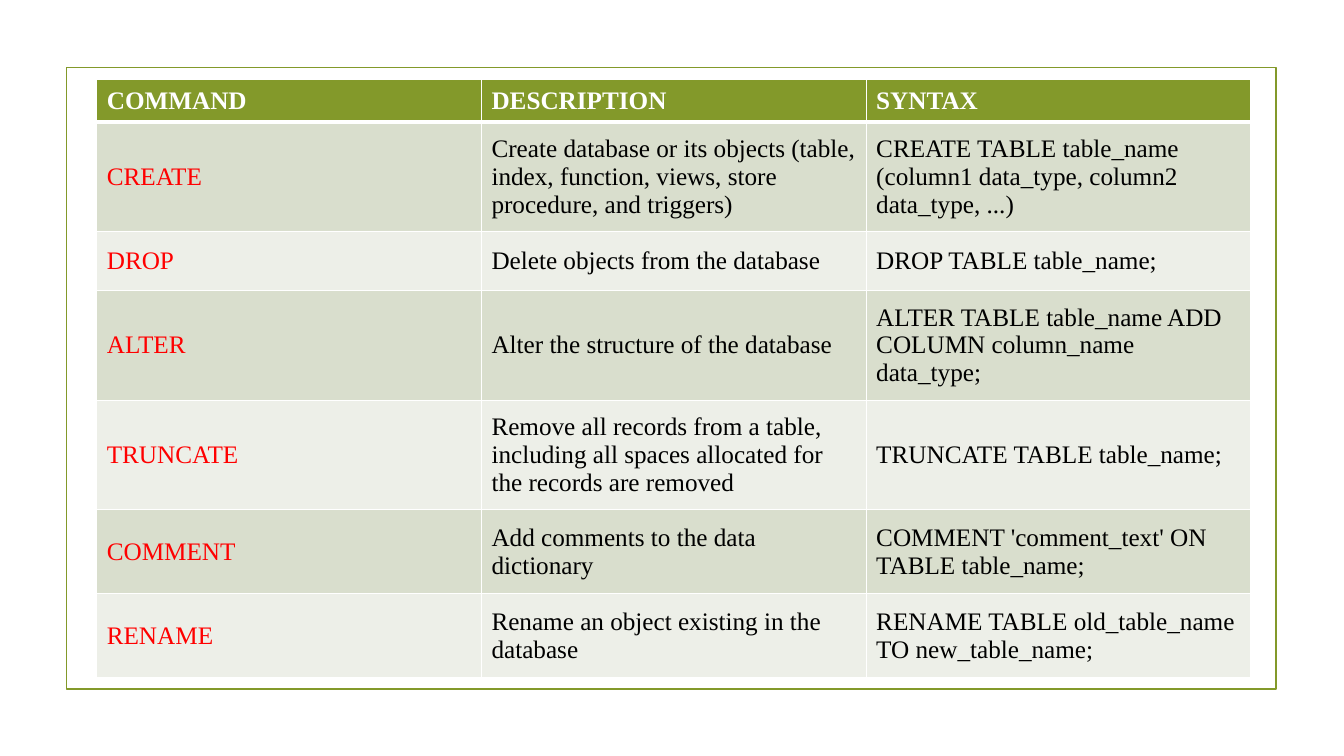
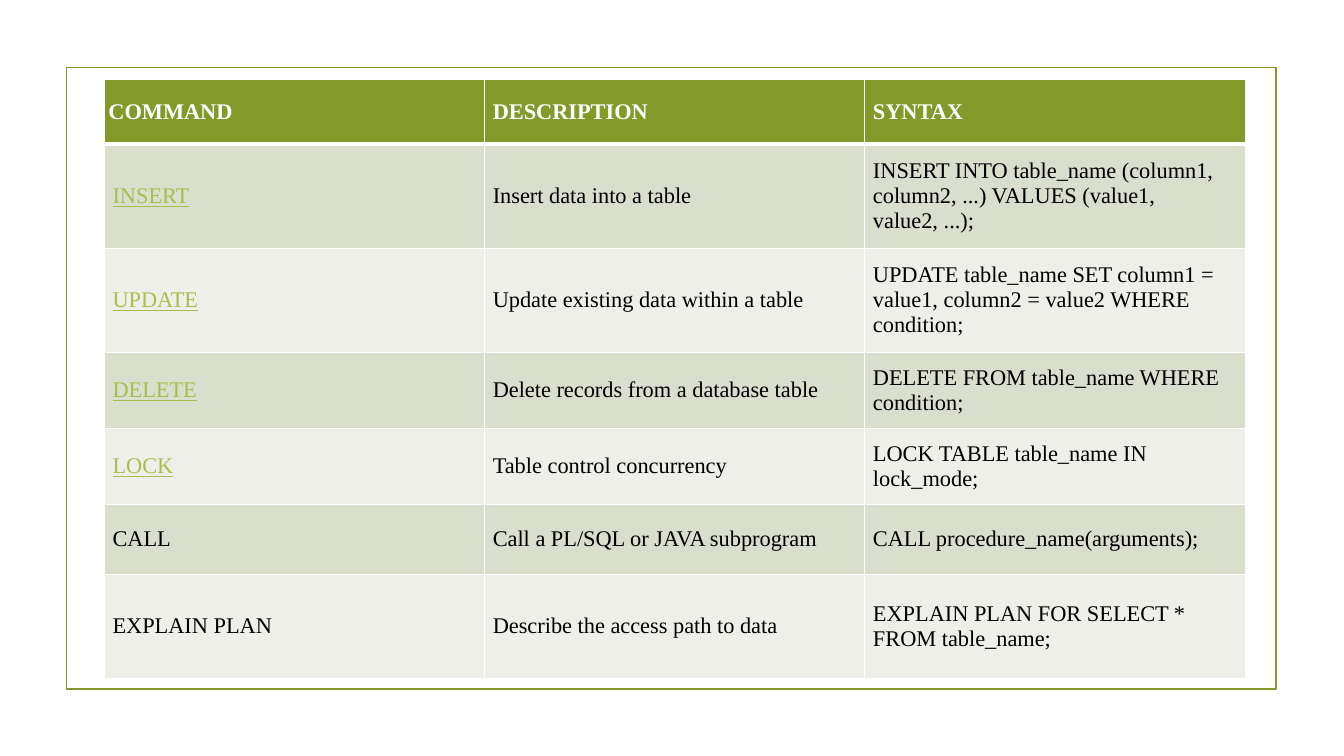
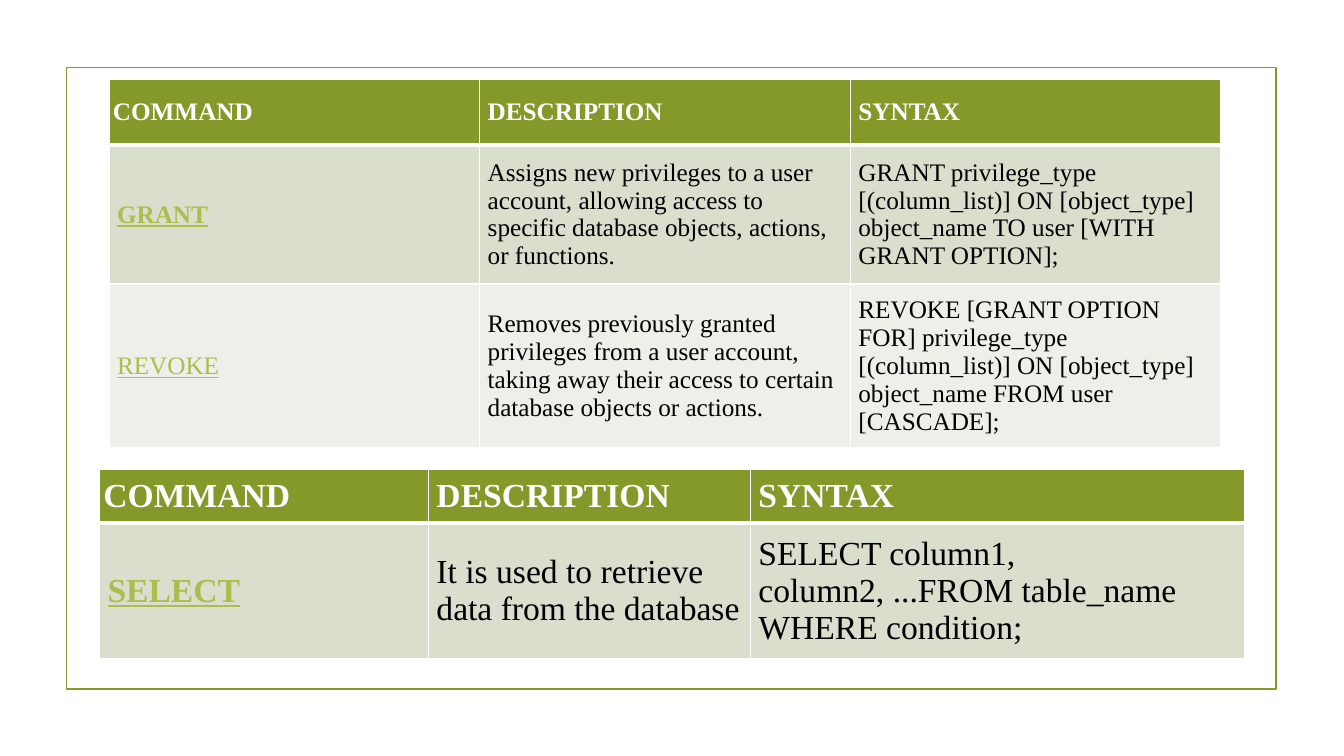
from lxml import etree
from pptx import Presentation
from pptx.dml.color import RGBColor
from pptx.enum.shapes import MSO_SHAPE
from pptx.enum.text import MSO_ANCHOR
from pptx.oxml.ns import qn
from pptx.util import Pt

RECTANGLE = MSO_SHAPE.RECTANGLE
MIDDLE = MSO_ANCHOR.MIDDLE

FONT = "Times New Roman"
OLIVE = "83992A"
LINK_GREEN = "A8BF4D"
RED = "FF0000"
WHITE = "FFFFFF"
BLACK = "000000"
BANDS = ("D9DECD", "EDEFE8")
BLANK_LAYOUT = 6
NBSP = chr(160)

HEADER = ("COMMAND", "DESCRIPTION", "SYNTAX")
TABLE_TOP = 57
PLAIN = (7.2, 3.6)
HEADER_FIRST = (2.9, 5.8)
HEADER_REST = (5.8, 5.8)
BODY = (5.8, 8.6)

DEFINITION_COMMANDS = [
    ("CREATE",
     "Create database or its objects (table, index, function, views, store procedure, and triggers)",
     "CREATE TABLE table_name (column1 data_type, column2 data_type, ...)"),
    ("DROP", "Delete objects from the database", "DROP TABLE table_name;"),
    ("ALTER", "Alter the structure of the database",
     "ALTER TABLE table_name ADD COLUMN column_name data_type;"),
    ("TRUNCATE",
     "Remove all records from a table, including all spaces allocated for the records are removed",
     "TRUNCATE TABLE table_name;"),
    ("COMMENT", "Add comments to the data dictionary",
     "COMMENT 'comment_text' ON TABLE table_name;"),
    ("RENAME", "Rename an object existing in the database",
     "RENAME TABLE old_table_name TO new_table_name;"),
]
MANIPULATION_COMMANDS = [
    ("INSERT", "Insert data into a table",
     f"INSERT INTO table_name (column1, column2, ...) VALUES (value1, value2,{NBSP}...);"),
    ("UPDATE", "Update existing data within a table",
     "UPDATE table_name SET column1 = value1, column2 = value2 WHERE condition;"),
    ("DELETE", "Delete records from a database table",
     "DELETE FROM table_name WHERE condition;"),
    ("LOCK", "Table control concurrency", "LOCK TABLE table_name IN lock_mode;"),
    ("CALL", "Call a PL/SQL or JAVA subprogram", "CALL procedure_name(arguments);"),
    ("EXPLAIN PLAN", "Describe the access path to data",
     "EXPLAIN PLAN FOR SELECT * FROM table_name;"),
]
CONTROL_COMMANDS = [
    ("GRANT",
     "Assigns new privileges to a user account, allowing access to specific database objects, "
     "actions, or functions.",
     "GRANT privilege_type [(column_list)] ON [object_type] object_name TO user "
     "[WITH GRANT OPTION];"),
    ("REVOKE",
     "Removes previously granted privileges from a user account, taking away their access to "
     "certain database objects or actions.",
     "REVOKE [GRANT OPTION FOR] privilege_type [(column_list)] ON [object_type] object_name "
     "FROM user [CASCADE];"),
]
QUERY_COMMANDS = [
    ("SELECT", "It is used to retrieve data from the database",
     f"SELECT column1, column2,{NBSP}...FROM table_name WHERE condition;"),
]
LINKED = {"INSERT", "UPDATE", "DELETE", "LOCK", "GRANT", "REVOKE", "SELECT"}
BOLD_COMMANDS = {"GRANT", "SELECT"}


def colour(hex_string):
    return RGBColor.from_string(hex_string)


def add_framed_slide(prs):
    slide = prs.slides.add_slide(prs.slide_layouts[BLANK_LAYOUT])
    frame = slide.shapes.add_shape(RECTANGLE, Pt(47.5), Pt(48.2), Pt(864), Pt(444))
    frame.shadow.inherit = False
    frame.fill.background()
    frame.line.color.rgb = colour(OLIVE)
    frame.line.width = Pt(1.25)
    return slide


def set_borders(cell, top, bottom):
    properties = cell._tc.get_or_add_tcPr()
    for side, width in (("L", 1), ("R", 1), ("T", top), ("B", bottom)):
        line = etree.SubElement(properties, qn(f"a:ln{side}"), w=str(Pt(width)))
        fill = etree.SubElement(line, qn("a:solidFill"))
        etree.SubElement(fill, qn("a:srgbClr"), val=WHITE)


def fill_cell(cell, text, size, text_colour, band, insets, bold=False, underline=False):
    side, end = insets
    cell.margin_left = cell.margin_right = Pt(side)
    cell.margin_top = cell.margin_bottom = Pt(end)
    cell.vertical_anchor = MIDDLE
    cell.fill.solid()
    cell.fill.fore_color.rgb = colour(band)
    run = cell.text_frame.paragraphs[0].add_run()
    run.text = text
    run.font.name = FONT
    run.font.size = Pt(size)
    run.font.bold = bold
    run.font.underline = underline
    run.font.color.rgb = colour(text_colour)


def add_command_table(slide, left, top, widths, heights, size, commands,
                      command_colour=BLACK, plain_insets=False):
    rows = [HEADER, *commands]
    table = slide.shapes.add_table(len(rows), len(HEADER), Pt(left), Pt(top),
                                   Pt(sum(widths)), Pt(sum(heights))).table
    for column, width in zip(table.columns, widths):
        column.width = Pt(width)
    for row, height in zip(table.rows, heights):
        row.height = Pt(height)
    for r, texts in enumerate(rows):
        for c, text in enumerate(texts):
            cell = table.cell(r, c)
            set_borders(cell, top=3 if r == 1 else 1, bottom=3 if r == 0 else 1)
            if r == 0:
                insets = HEADER_FIRST if c == 0 else HEADER_REST
                fill_cell(cell, text, size, WHITE, OLIVE,
                          PLAIN if plain_insets else insets, bold=True)
            else:
                linked = c == 0 and text in LINKED
                name_colour = LINK_GREEN if linked else command_colour
                fill_cell(cell, text, size, name_colour if c == 0 else BLACK,
                          BANDS[(r - 1) % 2], PLAIN if plain_insets else BODY,
                          bold=text in BOLD_COMMANDS, underline=linked)


def main():
    prs = Presentation()
    prs.slide_width, prs.slide_height = Pt(960), Pt(540)

    add_command_table(add_framed_slide(prs), 69.1, TABLE_TOP, [274.8] * 3,
                      [30, 78.3, 42.3, 78.3, 78.3, 60, 60], 18, DEFINITION_COMMANDS,
                      command_colour=RED, plain_insets=True)

    add_command_table(add_framed_slide(prs), 74.6, TABLE_TOP, [271.6] * 3,
                      [46, 74.3, 74.3, 54.3, 54.3, 50, 74.3], 16, MANIPULATION_COMMANDS)

    access_slide = add_framed_slide(prs)
    add_command_table(access_slide, 71, 335.5, [235, 230, 353], [38.2, 97], 24,
                      QUERY_COMMANDS)
    add_command_table(access_slide, 77.8, TABLE_TOP, [264.8] * 3, [46.5, 99.4, 117], 18,
                      CONTROL_COMMANDS)

    prs.save("out.pptx")


if __name__ == "__main__":
    main()
